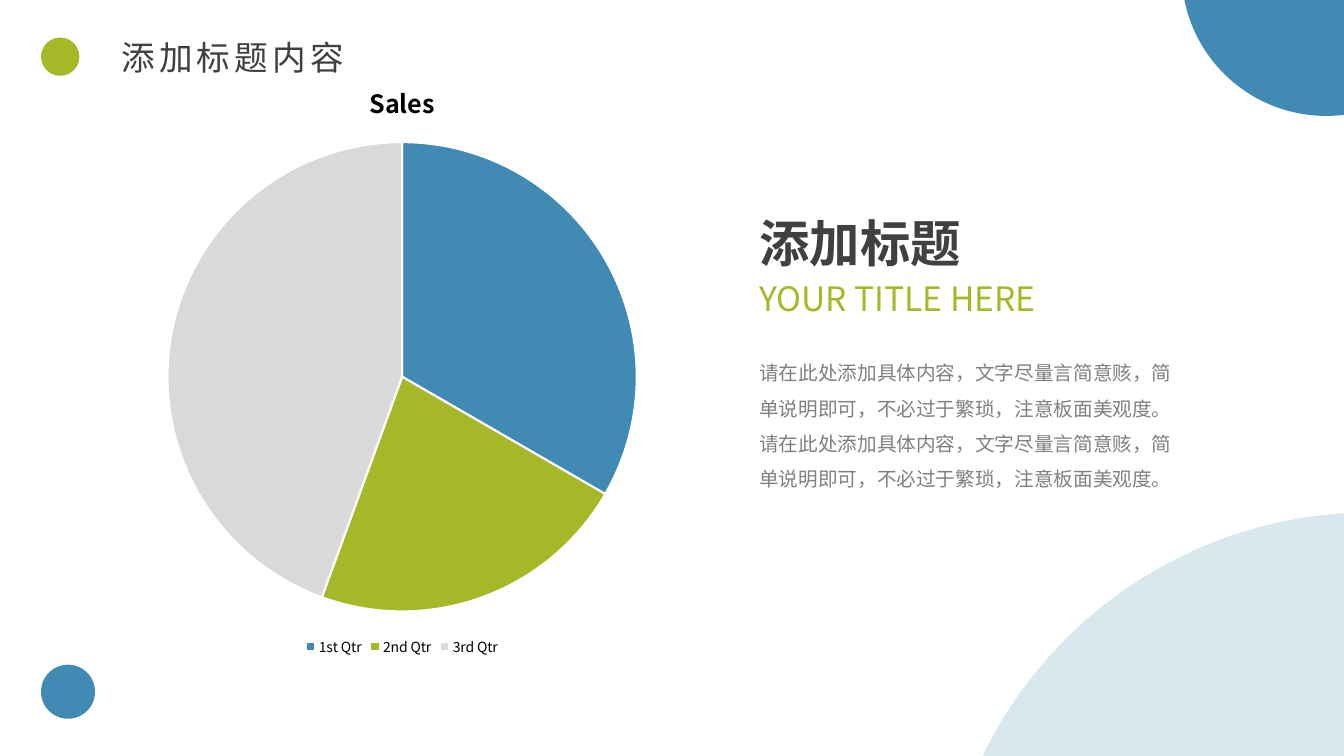
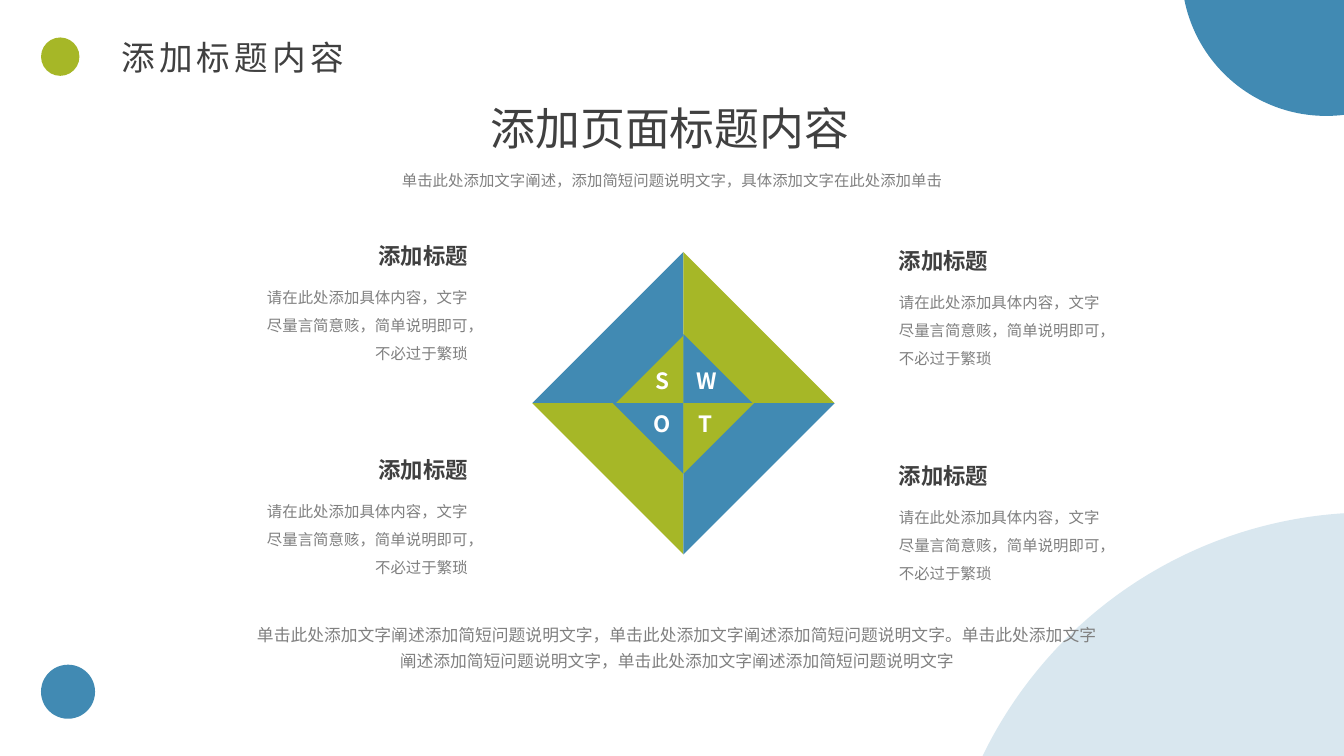
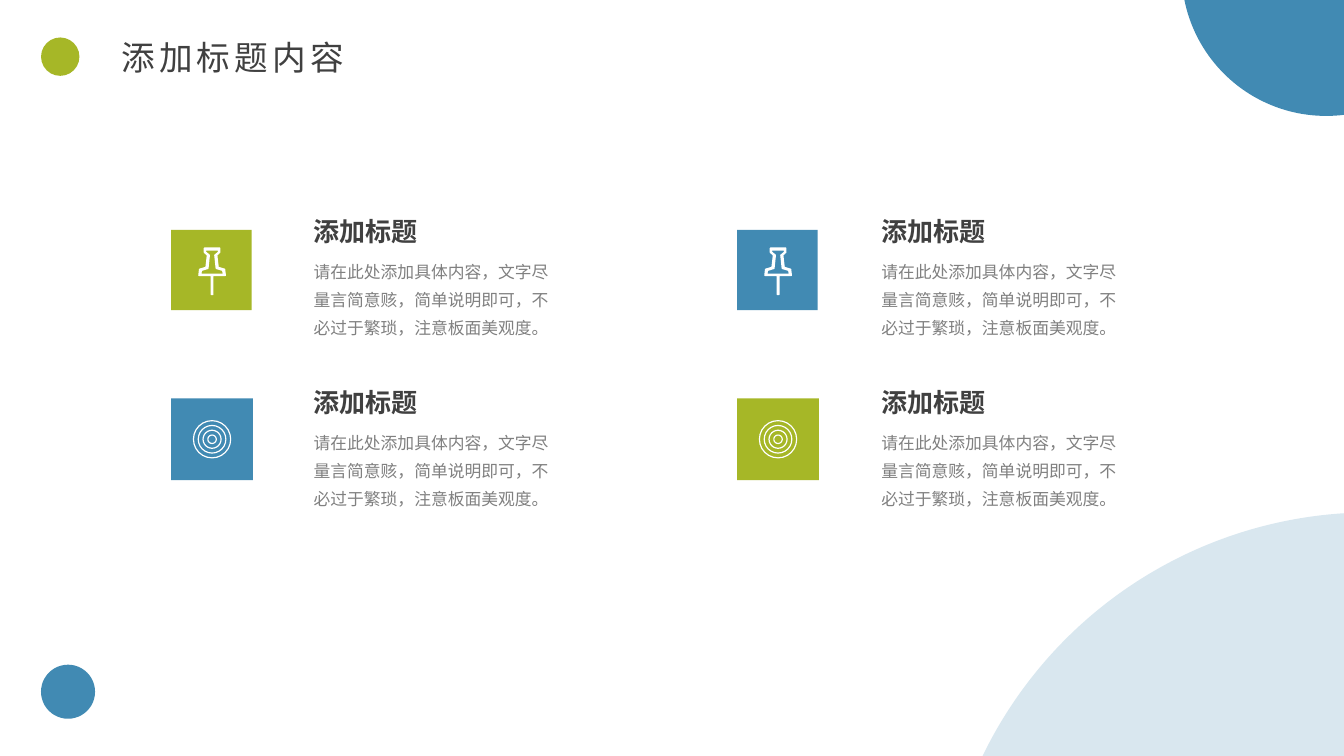
from math import cos, pi, sin

from lxml.etree import SubElement
from pptx import Presentation
from pptx.chart.data import CategoryChartData
from pptx.dml.color import RGBColor
from pptx.enum.chart import XL_CHART_TYPE, XL_LEGEND_POSITION
from pptx.enum.shapes import MSO_SHAPE
from pptx.enum.text import MSO_AUTO_SIZE, PP_ALIGN
from pptx.oxml.ns import qn
from pptx.util import Pt

BLUE = RGBColor(0x41, 0x8A, 0xB3)
GREEN = RGBColor(0xA6, 0xB7, 0x27)
SILVER = RGBColor(0xD9, 0xD9, 0xD9)
DARK = RGBColor(0x40, 0x40, 0x40)
GREY = RGBColor(0x80, 0x80, 0x80)
WHITE = RGBColor(0xFF, 0xFF, 0xFF)
BLACK = RGBColor(0, 0, 0)
FONT = "Noto Sans CJK SC"
LEFT, CENTER, RIGHT = PP_ALIGN.LEFT, PP_ALIGN.CENTER, PP_ALIGN.RIGHT

# Content
SLIDE_TITLE = "添加标题内容"
HEADING = "添加标题"
SHORT_BODY = "请在此处添加具体内容，文字尽量言简意赅，简单说明即可，不必过于繁琐"
BODY = SHORT_BODY + "，注意板面美观度。"
SUBTITLE = "YOUR TITLE HERE"
SALES = [("1st Qtr", 33, BLUE), ("2nd Qtr", 22, GREEN), ("3rd Qtr", 44, SILVER)]
SWOT_TITLE = "添加页面标题内容"
SWOT_LEAD = "单击此处添加文字阐述，添加简短问题说明文字，具体添加文字在此处添加单击"
CLAUSE = "单击此处添加文字阐述添加简短问题说明文字"
SWOT_SUMMARY = f"{CLAUSE}，{CLAUSE}。{CLAUSE}，{CLAUSE}"

# Shared circles: left, top, diameter, colour, opacity in percent
CIRCLES = [
    (671, 366, 617, BLUE, 20),
    (844, -123.8, 206.6, BLUE, 100),
    (29.3, 474.8, 38.6, BLUE, 100),
    (29.3, 26.8, 27.4, GREEN, 100),
]

# Diamond quadrants: column, row, rotation, outer colour, inner colour, inner leg
DIAMOND_X, DIAMOND_Y, DIAMOND_LEG = 488.2, 288, 108
QUADRANTS = [
    (0, 0, 270, BLUE, GREEN, 48.2),
    (1, 0, 0, GREEN, BLUE, 49.3),
    (0, 1, 180, GREEN, BLUE, 50.4),
    (1, 1, 90, BLUE, GREEN, 50.4),
]
SWOT_LETTERS = [("S", 445, 258.5), ("W", 478.8, 258.5),
                ("O", 445.7, 289.4), ("T", 475.6, 289.4)]
# Heading left, body left, heading top, alignment
SWOT_NOTES = [
    (255.6, 182.9, 169.2, RIGHT), (635, 635, 173, LEFT),
    (255.6, 182.9, 322.6, RIGHT), (635, 635, 326.6, LEFT),
]

# Right halves of the pin outline, as distance from its axis and from its top
PIN_HEAD = [(4.7, 1.2), (4.7, 2.8), (2, 5), (3, 14.4), (7.6, 15.8), (8.2, 18.7)]
PIN_EDGE = [(5.5, 0), (5.5, 2.9), (3.3, 5), (4.3, 13.7), (8.9, 15.1),
            (9.4, 19.4), (0.5, 19.4), (0.5, 33.1)]
RING_STEP, RING_COUNT, RING_WIDTH, RING_SIDES = 3.43, 4, 0.85, 24
# Feature rows: tile top, tile side, heading top, body top, tile colours
FEATURE_ROWS = [
    (164.2, 57.4, 150.5, 177.8, (GREEN, BLUE)),
    (284.6, 58.4, 272.2, 300.2, (BLUE, GREEN)),
]
FEATURE_COLUMNS = [(122.3, 216.9), (526.6, 622.4)]  # tile left, text left


def add_text(page, text, left, top, width, height, size, color, bold=False,
             align=LEFT, spacing=None, inset=3.6, wrap=True, grow=True, tracking=0):
    """Add a text box holding one formatted paragraph."""
    box = page.shapes.add_textbox(Pt(left), Pt(top), Pt(width), Pt(height))
    frame = box.text_frame
    frame.text = text
    frame.word_wrap = wrap
    frame.auto_size = MSO_AUTO_SIZE.SHAPE_TO_FIT_TEXT if grow else MSO_AUTO_SIZE.NONE
    frame.margin_top = frame.margin_bottom = Pt(inset)
    para = frame.paragraphs[0]
    para.alignment = align
    if spacing:
        para.line_spacing = spacing
    span = para.runs[0]
    span.font.size, span.font.bold = Pt(size), bold
    span.font.color.rgb = color
    span.font.name = FONT
    properties = span.font._element
    SubElement(properties, qn("a:ea")).set("typeface", FONT)
    if tracking:
        properties.set("spc", str(tracking * 100))


def paint(shape, color, line_width=0):
    """Give a shape a flat fill, and a line of the same colour if it has a width."""
    shape.shadow.inherit = False
    shape.fill.solid()
    shape.fill.fore_color.rgb = color
    if line_width:
        shape.line.color.rgb = color
        shape.line.width = Pt(line_width)
    else:
        shape.line.fill.background()


def add_block(page, preset, left, top, side, color, rotation=0):
    """Add a flat preset shape in a square frame."""
    shape = page.shapes.add_shape(preset, Pt(left), Pt(top), Pt(side), Pt(side))
    shape.rotation = rotation
    paint(shape, color)
    return shape


def add_outline(page, contours, line_width=0):
    """Add one white freeform made of closed contours."""
    builder = None
    for contour in contours:
        start, *rest = [(Pt(x), Pt(y)) for x, y in contour]
        if builder is None:
            builder = page.shapes.build_freeform(*start, scale=1.0)
        else:
            builder.move_to(*start)
        builder.add_line_segments(rest, close=True)
    paint(builder.convert_to_shape(), WHITE, line_width)


def add_pin(page, x, y):
    """Add a pin icon centred on a point."""
    axis, top = x + 0.5, y - 15.6
    add_outline(page, [
        [(axis + dx, top + dy) for dx, dy in half]
        + [(axis - dx, top + dy) for dx, dy in reversed(half)]
        for half in (PIN_HEAD, PIN_EDGE)], line_width=1)


def add_target(page, x, y):
    """Add concentric rings centred on a point."""
    radii = [RING_STEP * ring - inward
             for ring in range(RING_COUNT, 0, -1) for inward in (0, RING_WIDTH)]
    angles = [2 * pi * step / RING_SIDES for step in range(RING_SIDES)]
    add_outline(page, [[(x + radius * cos(angle), y + radius * sin(angle))
                        for angle in angles] for radius in radii])


def add_page(deck):
    """Add a blank slide with the shared circles and title."""
    page = deck.slides.add_slide(deck.slide_layouts[6])
    for left, top, diameter, color, opacity in CIRCLES:
        circle = add_block(page, MSO_SHAPE.FLOWCHART_CONNECTOR, left, top, diameter, color)
        if opacity < 100:
            fill = circle.element.spPr.find(qn("a:solidFill"))
            SubElement(fill[0], qn("a:alpha")).set("val", str(opacity * 1000))
    add_text(page, SLIDE_TITLE, 79.6, 22.7, 184.3, 36, 24, DARK,
             align=PP_ALIGN.JUSTIFY, tracking=3)
    return page


def add_sales_chart(page):
    """Add the pie chart of sales by quarter."""
    data = CategoryChartData()
    data.categories = [quarter for quarter, _, _ in SALES]
    data.add_series("Sales", [value for _, value, _ in SALES])
    chart = page.shapes.add_chart(XL_CHART_TYPE.PIE, Pt(61.9), Pt(42.1),
                                  Pt(450.7), Pt(429.8), data).chart
    chart.font.name, chart.font.size = FONT, Pt(10)
    chart.font.color.rgb = BLACK
    chart.has_title = True
    chart.chart_title.text_frame.text = "Sales"
    title_font = chart.chart_title.text_frame.paragraphs[0].runs[0].font
    title_font.name, title_font.size, title_font.bold = FONT, Pt(18), True
    title_font.color.rgb = BLACK
    chart.has_legend = True
    chart.legend.position = XL_LEGEND_POSITION.BOTTOM
    chart.legend.include_in_layout = False
    plot = chart.plots[0]
    plot.vary_by_categories = True
    for index, (_, _, color) in enumerate(SALES):
        slice_format = plot.series[0].points[index].format
        slice_format.fill.solid()
        slice_format.fill.fore_color.rgb = color
        slice_format.line.color.rgb = WHITE
        slice_format.line.width = Pt(1.5)


def build_sales(deck):
    """Build the chart slide."""
    page = add_page(deck)
    add_sales_chart(page)
    add_text(page, HEADING, 535.3, 151.2, 327.6, 43.9, 36, DARK, bold=True, inset=0)
    add_text(page, BODY * 2, 535.3, 246.2, 312.5, 108.7, 14, GREY, spacing=1.5)
    add_text(page, SUBTITLE, 535.3, 195.1, 250.6, 37.4, 24, GREEN, grow=False)


def build_swot(deck):
    """Build the diamond slide with four notes."""
    page = add_page(deck)
    for inner in (False, True):
        for column, row, rotation, outer_color, inner_color, inner_leg in QUADRANTS:
            leg = inner_leg if inner else DIAMOND_LEG
            add_block(page, MSO_SHAPE.RIGHT_TRIANGLE,
                      DIAMOND_X - leg * (1 - column), DIAMOND_Y - leg * (1 - row),
                      leg, inner_color if inner else outer_color, rotation)
    for letter, left, top in SWOT_LETTERS:
        add_text(page, letter, left, top, 40.3, 26.6, 16, WHITE, bold=True, align=RIGHT)
    add_text(page, SWOT_TITLE, 343.4, 68.4, 272.9, 46.1, 32, DARK, wrap=False)
    add_text(page, SWOT_LEAD, 245.9, 112.3, 468.7, 25.2, 11, GREY,
             align=CENTER, spacing=1.5)
    add_text(page, SWOT_SUMMARY, 174, 438.5, 619.2, 43.2, 12, GREY,
             align=CENTER, spacing=1.3)
    for heading_left, body_left, top, align in SWOT_NOTES:
        add_text(page, SHORT_BODY, body_left, top + 26, 158.4, 67.7, 11, GREY,
                 align=align, spacing=Pt(20))
        add_text(page, HEADING, heading_left, top, 85.7, 26.6, 16, DARK,
                 bold=True, align=align)


def build_features(deck):
    """Build the slide of four icon tiles with text."""
    page = add_page(deck)
    for add_icon, row in zip((add_pin, add_target), FEATURE_ROWS):
        tile_top, side, heading_top, body_top, colors = row
        for (tile_left, text_left), color in zip(FEATURE_COLUMNS, colors):
            add_block(page, MSO_SHAPE.RECTANGLE, tile_left, tile_top, side, color)
            add_icon(page, tile_left + side / 2, tile_top + side / 2)
            add_text(page, BODY, text_left, body_top, 193, 67.7, 12, GREY,
                     spacing=Pt(20))
            add_text(page, HEADING, text_left, heading_top, 152.6, 29.5, 18.6, DARK,
                     bold=True)


deck = Presentation()
deck.slide_width, deck.slide_height = Pt(960), Pt(540)
build_sales(deck)
build_swot(deck)
build_features(deck)
deck.save("out.pptx")
